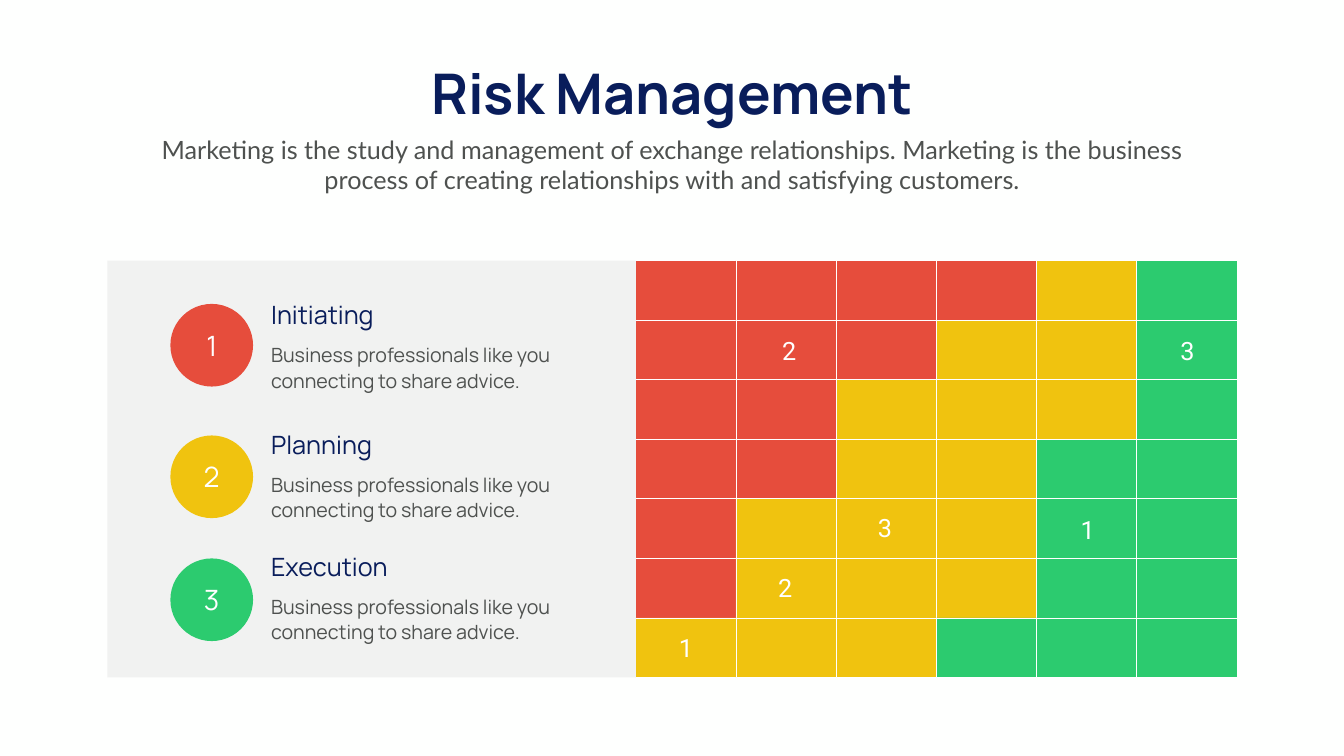
from dataclasses import dataclass

from lxml.etree import SubElement
from pptx import Presentation
from pptx.dml.color import RGBColor
from pptx.enum.shapes import MSO_SHAPE as Shape
from pptx.enum.text import MSO_ANCHOR as Anchor
from pptx.enum.text import MSO_AUTO_SIZE as Fit
from pptx.enum.text import PP_ALIGN as Align
from pptx.oxml.ns import qn
from pptx.util import Inches, Pt


@dataclass(frozen=True)
class Style:
    font: str
    size: float
    color: str
    bold: bool = False
    lead: float = 0


@dataclass(frozen=True)
class Theme:
    back: str = "FEFFFE"
    white: str = "FFFFFF"
    red: str = "E64D3C"
    gold: str = "F0C30F"
    green: str = "2CCB6F"
    gray: str = "808080"
    title: Style = Style("Manrope", 80, "091D5B", bold=True)
    intro: Style = Style("Lato", 36, "4E514F")
    head: Style = Style("Manrope", 36, "091D5B")
    body: Style = Style("Manrope", 28, "4E514F", lead=36.6)
    badge: Style = Style("Manrope", 40, "FFFFFF")
    mark: Style = Style("Roboto", 36, "FFFFFF")


@dataclass(frozen=True)
class Box:
    left: float
    top: float
    width: float
    height: float

    def emu(self) -> tuple:
        return tuple(Inches(v) for v in (self.left, self.top, self.width, self.height))


@dataclass(frozen=True)
class Mark:
    text: str
    left: float
    top: float


@dataclass(frozen=True)
class Phase:
    num: str
    name: str
    top: float
    disc: float
    color: str


T = Theme()
BODY = "Business professionals like you connecting to share advice."

# Risk grid: one letter per cell
LEFT, TOP, WIDE, HIGH = 12.61, 5.17, 1.988, 1.182
ROWS = ("RRRRYG", "RRRYYG", "RRYYYG", "RRYYGG", "RYYYGG", "RYYYGG", "YYYGGG")
HUES = {"R": T.red, "Y": T.gold, "G": T.green}

MARKS = (
    Mark("1", 13.11, 12.49),
    Mark("2", 15.08, 11.3),
    Mark("3", 17.06, 10.11),
    Mark("1", 21.08, 10.16),
    Mark("2", 15.16, 6.61),
    Mark("3", 23.06, 6.61),
)
PHASES = (
    Phase("1", "Initiating", 5.89, 6.03, T.red),
    Phase("2", "Planning", 8.46, 8.64, T.gold),
    Phase("3", "Execution", 10.88, 11.08, T.green),
)


def rgb(color: str) -> RGBColor:
    return RGBColor.from_string(color)


def write(frame, text: str, style: Style, align: Align) -> None:
    para = frame.paragraphs[0]
    para.text = text
    para.alignment = align
    if style.lead:
        para.line_spacing = Pt(style.lead)
    font = para.font
    font.name, font.size, font.bold = style.font, Pt(style.size), style.bold
    font.color.rgb = rgb(style.color)


def label(shapes, box: Box, text: str, style: Style,
          align: Align = Align.CENTER, wrap: bool = True) -> None:
    frame = shapes.add_textbox(*box.emu()).text_frame
    frame.word_wrap = wrap
    frame.auto_size = Fit.SHAPE_TO_FIT_TEXT
    write(frame, text, style, align)


def block(shapes, kind: Shape, box: Box, color: str, line: str = ""):
    shape = shapes.add_shape(kind, *box.emu())
    shape.shadow.inherit = False
    shape.fill.solid()
    shape.fill.fore_color.rgb = rgb(color)
    if line:
        shape.line.color.rgb = rgb(line)
        shape.line.width = Pt(1)
    else:
        shape.line.fill.background()
    return shape


def grid(shapes) -> None:
    for r, row in enumerate(ROWS):
        for c, key in enumerate(row):
            box = Box(LEFT + c * WIDE, TOP + r * HIGH, WIDE, HIGH)
            block(shapes, Shape.RECTANGLE, box, HUES[key], T.white)
    for mark in MARKS:
        label(shapes, Box(mark.left, mark.top, 0.99, 0.71), mark.text, T.mark)


def panel(shapes) -> None:
    shape = block(shapes, Shape.RECTANGLE, Box(2.13, TOP, 10.49, 8.27), T.gray)
    tint = next(shape.element.spPr.iter(qn("a:srgbClr")))
    SubElement(tint, qn("a:alpha"), val="10000")


def entry(shapes, item: Phase) -> None:
    label(shapes, Box(5.28, item.top + 0.83, 6.43, 1.13), BODY, T.body, Align.LEFT)
    label(shapes, Box(5.28, item.top, 4.89, 0.71), item.name, T.head, Align.LEFT)
    disc = block(shapes, Shape.OVAL, Box(3.38, item.disc, 1.64, 1.64), item.color)
    disc.text_frame.vertical_anchor = Anchor.MIDDLE
    write(disc.text_frame, item.num, T.badge, Align.CENTER)


def main() -> None:
    deck = Presentation()
    deck.slide_width, deck.slide_height = Inches(26.66), Inches(15)
    slide = deck.slides.add_slide(deck.slide_layouts[6])
    fill = slide.background.fill
    fill.solid()
    fill.fore_color.rgb = rgb(T.back)
    shapes = slide.shapes

    # Heading
    label(shapes, Box(7.99, 1.12, 10.68, 1.45), "Risk Management", T.title, wrap=False)
    label(shapes, Box(2.92, 2.61, 20.82, 1.31),
          "Marketing is the study and management of exchange relationships. "
          "Marketing is the business process of creating relationships with "
          "and satisfying customers.", T.intro)

    # Grid with its numbers, then the legend panel
    grid(shapes.add_group_shape().shapes)
    panel(shapes)
    legend = shapes.add_group_shape().shapes
    for item in PHASES:
        entry(legend, item)

    deck.save("out.pptx")


if __name__ == "__main__":
    main()
